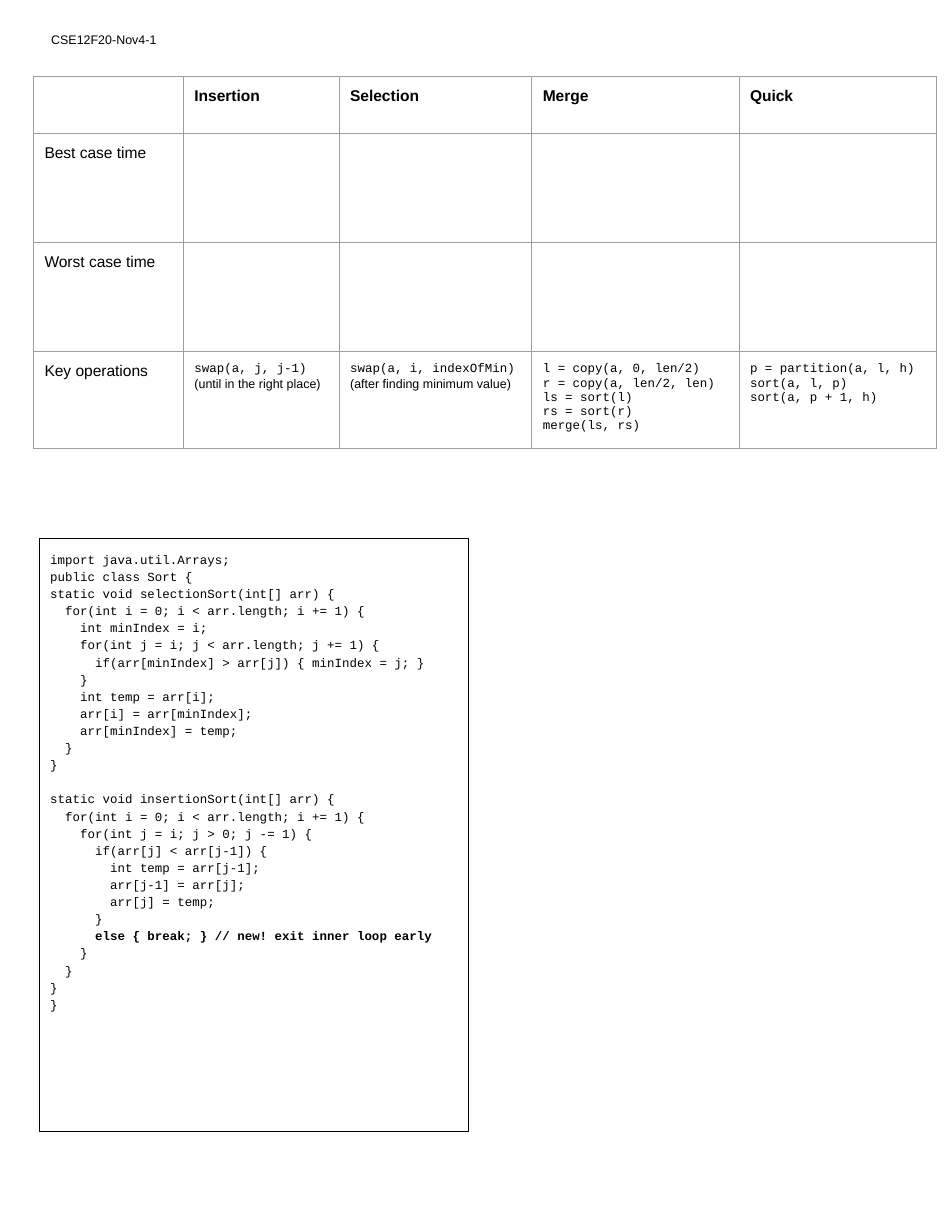
from lxml import etree
from pptx import Presentation
from pptx import util as u
from pptx.dml.color import RGBColor
from pptx.enum import shapes, text
from pptx.oxml import ns

SANS, MONO = "Arial", "Courier New"

HEADS = ["Insertion", "Selection", "Merge", "Quick"]
COLS = [3.4, 3.53, 4.37, 4.7, 4.47]
ROWS = [1.3, 2.47, 2.47, 2.13]
SIDES = ["Best case time", "Worst case time", "Key operations"]
# Code lines and an optional plain remark for each sort
STEPS = [
    (["swap(a, j, j-1)"], "(until in the right place)"),
    (["swap(a, i, indexOfMin)"], "(after finding minimum value)"),
    (["l = copy(a, 0, len/2)", "r = copy(a, len/2, len)",
      "ls = sort(l)", "rs = sort(r)", "merge(ls, rs)"], ""),
    (["p = partition(a, l, h)", "sort(a, l, p)", "sort(a, p + 1, h)"], ""),
]

SELECT = """import java.util.Arrays;
public class Sort {
static void selectionSort(int[] arr) {
  for(int i = 0; i < arr.length; i += 1) {
    int minIndex = i;
    for(int j = i; j < arr.length; j += 1) {
      if(arr[minIndex] > arr[j]) { minIndex = j; }
    }
    int temp = arr[i];
    arr[i] = arr[minIndex];
    arr[minIndex] = temp;
  }
}"""
INSERT = """static void insertionSort(int[] arr) {
  for(int i = 0; i < arr.length; i += 1) {
    for(int j = i; j > 0; j -= 1) {
      if(arr[j] < arr[j-1]) {
        int temp = arr[j-1];
        arr[j-1] = arr[j];
        arr[j] = temp;
      }
      else { break; } // new! exit inner loop early
    }
  }
}
}"""


def color(code):
    return RGBColor.from_string(code)


class Sheet:
    ink, rule = "000000", "9E9E9E"
    pad, thin = u.Cm(0.25), u.Pt(0.75)

    def __init__(self, slide):
        self.slide = slide

    def put(self, frame, lines, lead=None):
        """Each line is (words, font, size, bold, space before)."""
        for i, (words, font, size, bold, gap) in enumerate(lines):
            para = frame.paragraphs[0] if i == 0 else frame.add_paragraph()
            para.alignment = text.PP_ALIGN.LEFT
            if lead:
                para.line_spacing = lead
            if gap:
                para.space_before = u.Pt(gap)
            run = para.add_run()
            run.text = words
            run.font.name, run.font.size = font, u.Pt(size)
            run.font.bold = bold
            run.font.color.rgb = color(self.ink)

    def inset(self, item):
        item.margin_left = item.margin_right = self.pad
        item.margin_top = item.margin_bottom = self.pad
        item.vertical_anchor = text.MSO_ANCHOR.TOP

    def label(self, spot, lines):
        frame = self.slide.shapes.add_textbox(*map(u.Cm, spot)).text_frame
        frame.word_wrap = True
        self.inset(frame)
        self.put(frame, lines)

    def box(self, spot, lines, lead):
        shape = self.slide.shapes.add_shape(
            shapes.MSO_SHAPE.RECTANGLE, *map(u.Cm, spot))
        shape.shadow.inherit = False
        shape.fill.background()
        shape.line.color.rgb = color(self.ink)
        shape.line.width = self.thin
        shape.text_frame.word_wrap = True
        self.inset(shape.text_frame)
        self.put(shape.text_frame, lines, lead)

    def edge(self, cell):
        props = cell._tc.get_or_add_tcPr()
        for i, side in enumerate(["lnL", "lnR", "lnT", "lnB"]):
            line = etree.Element(ns.qn("a:" + side), w=str(int(self.thin)))
            fill = etree.SubElement(line, ns.qn("a:solidFill"))
            etree.SubElement(fill, ns.qn("a:srgbClr"), val=self.rule)
            props.insert(i, line)

    def table(self, left, top, cols, rows, cells):
        """Cells maps (row, column) to lines."""
        grid = self.slide.shapes.add_table(
            len(rows), len(cols), u.Cm(left), u.Cm(top),
            u.Cm(sum(cols)), u.Cm(sum(rows))).table
        grid.first_row = grid.horz_banding = False
        for col, width in zip(grid.columns, cols):
            col.width = u.Cm(width)
        for r, height in enumerate(rows):
            grid.rows[r].height = u.Cm(height)
            for c in range(len(cols)):
                cell = grid.cell(r, c)
                cell.fill.background()
                self.inset(cell)
                self.edge(cell)
                self.put(cell.text_frame, cells.get((r, c), []))


def main():
    deck = Presentation()
    deck.slide_width, deck.slide_height = u.Cm(21.59), u.Cm(27.94)
    sheet = Sheet(deck.slides.add_slide(deck.slide_layouts[6]))

    # Page label
    sheet.label((0.91, 0.56, 4.37, 0.84),
                [("CSE12F20-Nov4-1", SANS, 8, False, 0)])

    # Comparison of the sorts
    cells = {}
    for c, head in enumerate(HEADS, 1):
        cells[0, c] = [(head, SANS, 10, True, 0)]
    for r, side in enumerate(SIDES, 1):
        cells[r, 0] = [(side, SANS, 10, False, 0)]
    for c, (code, note) in enumerate(STEPS, 1):
        cells[3, c] = [(line, MONO, 8, False, 0) for line in code]
        if note:
            cells[3, c].append((note, SANS, 8, False, 0))
    sheet.table(0.76, 1.73, COLS, ROWS, cells)

    # Code listing, with a line's gap before the second method
    lines = []
    for part in (SELECT, INSERT):
        for i, line in enumerate(part.split("\n")):
            gap = 11 if lines and i == 0 else 0
            lines.append((line, MONO, 8, "new!" in line, gap))
    sheet.box((0.89, 12.22, 9.73, 13.44), lines, 1.15)

    deck.save("out.pptx")


if __name__ == "__main__":
    main()
